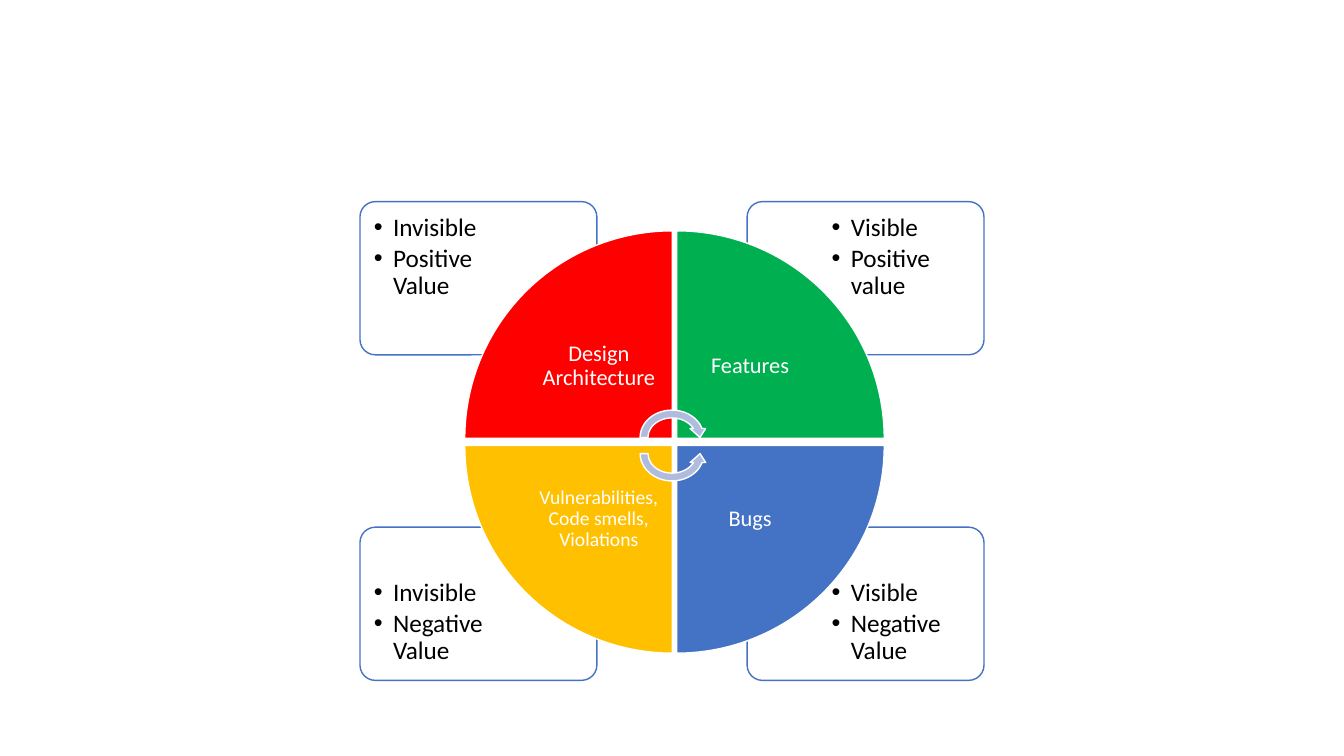
from lxml import etree
from pptx import Presentation
from pptx.dml.color import RGBColor
from pptx.enum import shapes, text
from pptx.oxml import ns
from pptx.util import Inches, Pt

WHITE = RGBColor(0xFF, 0xFF, 0xFF)
BLACK = RGBColor(0, 0, 0)
BLUE = RGBColor(0x44, 0x72, 0xC4)
RED = RGBColor(0xFF, 0, 0)
GREEN = RGBColor(0, 0xB0, 0x50)
GOLD = RGBColor(0xFF, 0xC0, 0)
PALE = RGBColor(0xB0, 0xBC, 0xDE)

deck = Presentation()
deck.slide_width, deck.slide_height = Inches(13.33), Inches(7.5)
slide = deck.slides.add_slide(deck.slide_layouts[6])


def draw(kind, x, y, w, h, fill, line, turn=0):
    shape = slide.shapes.add_shape(kind, Inches(x), Inches(y), Inches(w), Inches(h))
    shape.shadow.inherit = False
    shape.fill.solid()
    shape.fill.fore_color.rgb = fill
    shape.line.color.rgb = line
    shape.line.width = Pt(1)
    shape.rotation = turn
    return shape


def write(lines, x, y, w, h, size, color, inset=0.1, after=0, bullet=False):
    frame = slide.shapes.add_textbox(Inches(x), Inches(y), Inches(w), Inches(h)).text_frame
    frame.word_wrap = True
    frame.margin_left = frame.margin_right = Inches(inset)
    frame.margin_top = frame.margin_bottom = Inches(inset)
    frame.vertical_anchor = text.MSO_ANCHOR.TOP if bullet else text.MSO_ANCHOR.MIDDLE
    frame.text = lines
    for para in frame.paragraphs:
        para.alignment = text.PP_ALIGN.LEFT if bullet else text.PP_ALIGN.CENTER
        para.line_spacing = 0.9
        para.space_after = Pt(after)
        para.font.name = "Calibri"
        para.font.size = Pt(size)
        para.font.color.rgb = color
        if bullet:
            props = para._p.get_or_add_pPr()
            props.set("marL", str(Inches(0.19)))
            props.set("indent", str(-Inches(0.19)))
            etree.SubElement(props, ns.qn("a:buFont")).set("typeface", "Arial")
            etree.SubElement(props, ns.qn("a:buChar")).set("char", "•")


cards = [
    ("Visible\nNegative Value", 7.41, 5.23, 8.15, 5.65),
    ("Invisible\nNegative Value", 3.57, 5.23, 3.61, 5.65),
    ("Visible\nPositive value", 7.41, 2, 8.15, 2.03),
    ("Invisible\nPositive Value", 3.57, 2, 3.61, 2.03),
]
for words, x, y, left, top in cards:
    card = draw(shapes.MSO_SHAPE.ROUNDED_RECTANGLE, x, y, 2.35, 1.52, WHITE, BLUE)
    card.adjustments[0] = 0.1
    tint = card._element.spPr.find(".//" + ns.qn("a:srgbClr"))
    etree.SubElement(tint, ns.qn("a:alpha")).set("val", "90000")
    write(words, left, top, 1.58, 1.08, 18, BLACK, after=2.7, bullet=True)

wedges = [
    ("Design Architecture", 4.61, 2.29, RED, 16),
    ("Features", 6.71, 2.29, GREEN, 16),
    ("Bugs", 6.71, 4.42, BLUE, 16),
    ("Vulnerabilities, Code smells, Violations", 4.61, 4.42, GOLD, 14),
]
for step, (words, x, y, color, size) in enumerate(wedges):
    draw(shapes.MSO_SHAPE.PIE_WEDGE, x, y, 2.06, 2.06, color, WHITE, turn=90 * step)
    left = 5.21 if x < 6 else x
    top = 2.9 if y < 4 else y
    write(words, left, top, 1.46, 1.46, size, WHITE, inset=0.11 if size == 14 else 0.12)

draw(shapes.MSO_SHAPE.CIRCULAR_ARROW, 6.31, 4.03, 0.71, 0.62, PALE, WHITE)
low = draw(shapes.MSO_SHAPE.CIRCULAR_ARROW, 6.31, 4.19, 0.71, 0.62, PALE, WHITE, turn=180)
low._element.spPr.xfrm.set("flipH", "1")

deck.save("out.pptx")
